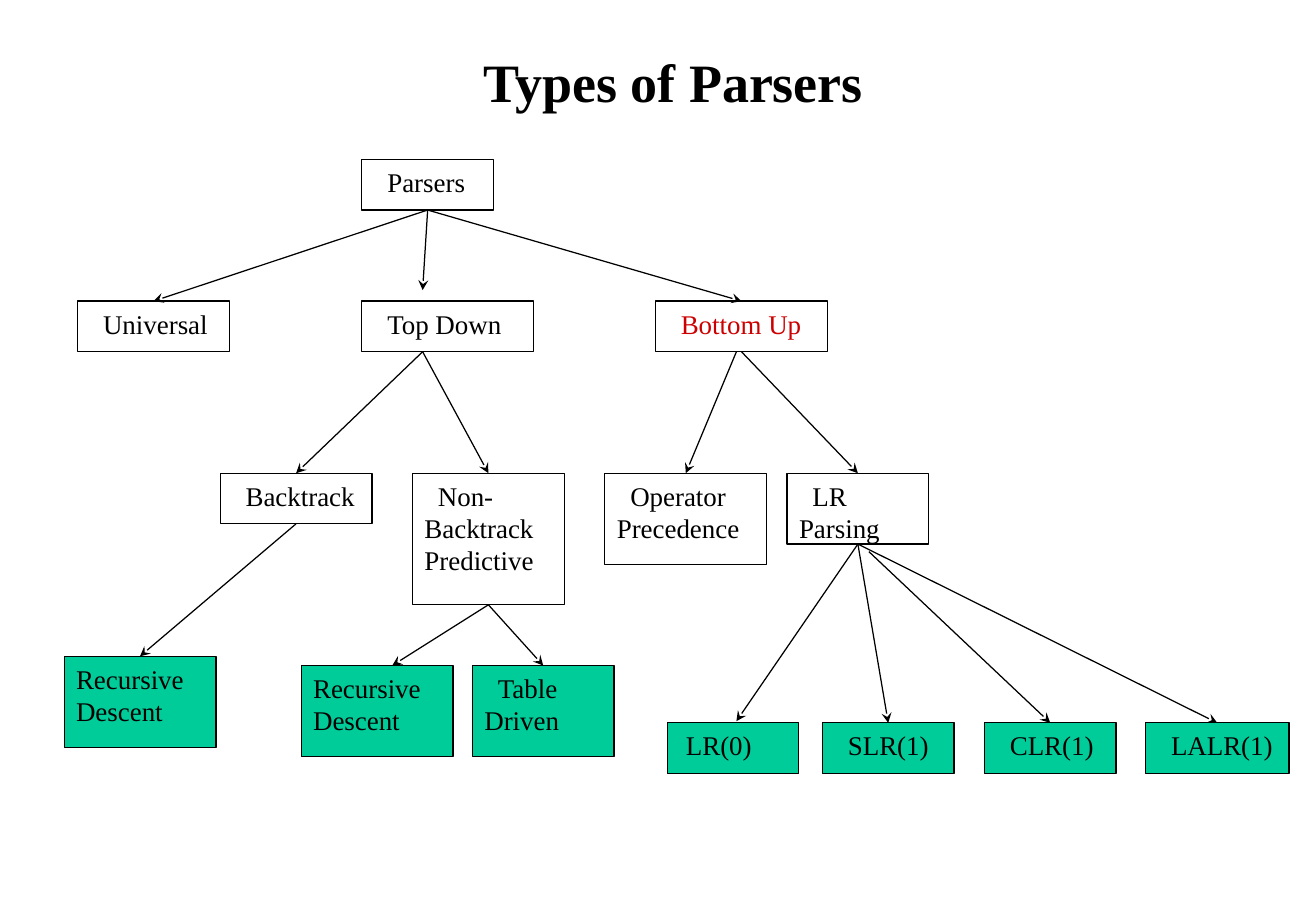
from lxml import etree
from pptx import Presentation
from pptx.dml.color import RGBColor
from pptx.enum.shapes import MSO_CONNECTOR, MSO_SHAPE
from pptx.enum.text import MSO_ANCHOR, PP_ALIGN
from pptx.oxml.ns import qn
from pptx.util import Pt

RECT, STRAIGHT = MSO_SHAPE.RECTANGLE, MSO_CONNECTOR.STRAIGHT
TOP, MIDDLE = MSO_ANCHOR.TOP, MSO_ANCHOR.MIDDLE
LEFT, CENTER = PP_ALIGN.LEFT, PP_ALIGN.CENTER
SITE_TOP, SITE_BOTTOM = 0, 2

BLACK = RGBColor(0x00, 0x00, 0x00)
WHITE = RGBColor(0xFF, 0xFF, 0xFF)
GREEN = RGBColor(0x00, 0xCC, 0x99)
RED = RGBColor(0xCC, 0x00, 0x00)
FONT = "Times New Roman"

# Content
TITLE = "Types of Parsers"

# Row tops, in points
ROOT, KINDS, METHODS, DESCENT, TABLES, LR_ROW = 94.5, 178.5, 280.5, 389, 394.5, 428.5

# key: (text, left, top, width, height, fill, text colour, first-line indent)
BOXES = {
    "parsers": ("Parsers", 214.5, ROOT, 78, 30, WHITE, BLACK, 8),
    "universal": ("Universal", 46, KINDS, 90, 30, WHITE, BLACK, 8),
    "top_down": ("Top Down", 214.5, KINDS, 102, 30, WHITE, BLACK, 8),
    "bottom_up": ("Bottom Up", 388.5, KINDS, 102, 30, WHITE, RED, 8),
    "backtrack": ("Backtrack", 130.5, METHODS, 90, 30, WHITE, BLACK, 8),
    "predictive": ("Non-Backtrack Predictive", 244.5, METHODS, 90, 78, WHITE, BLACK, 8),
    "operator": ("Operator Precedence", 358.5, METHODS, 96, 54, WHITE, BLACK, 8),
    "lr": ("LR Parsing", 466.5, METHODS, 84, 42, WHITE, BLACK, 8),
    "descent_back": ("Recursive Descent", 38, DESCENT, 90, 54, GREEN, BLACK, 0),
    "descent_pred": ("Recursive Descent", 178.5, TABLES, 90, 54, GREEN, BLACK, 0),
    "table": ("Table Driven", 280, TABLES, 84, 54, GREEN, BLACK, 8),
    "lr0": ("LR(0)", 395.5, LR_ROW, 78, 30, GREEN, BLACK, 4),
    "slr1": ("SLR(1)", 487.5, LR_ROW, 78, 30, GREEN, BLACK, 8),
    "clr1": ("CLR(1)", 583.5, LR_ROW, 78, 30, GREEN, BLACK, 8),
    "lalr1": ("LALR(1)", 679, LR_ROW, 85, 30, GREEN, BLACK, 8),
}

# Each end is a box key (joined to its side) or a free point
ARROWS = [
    ("parsers", "universal"),
    ("parsers", (250.5, 172)),
    ("parsers", "bottom_up"),
    ((250.5, 208.5), "backtrack"),
    ((250.5, 208.5), "predictive"),
    ((436.5, 208.5), "operator"),
    ("bottom_up", "lr"),
    ("backtrack", "descent_back"),
    ("predictive", (232.5, 394.5)),
    ("predictive", "table"),
    ("lr", (436.5, 427.5)),
    ("lr", "slr1"),
    ((515, 327), "clr1"),
    ("lr", "lalr1"),
]


def set_all(obj, values):
    for name, value in values.items():
        setattr(obj, name, value)


def write(sp, text, size, color, bold=False, align=LEFT, anchor=TOP, indent=0):
    tf = sp.text_frame
    set_all(tf, {"word_wrap": True, "vertical_anchor": anchor,
                 "margin_left": Pt(7.2), "margin_right": Pt(7.2),
                 "margin_top": Pt(3.6), "margin_bottom": Pt(3.6)})
    p = tf.paragraphs[0]
    p.alignment = align
    if indent:
        p._p.get_or_add_pPr().set("indent", str(Pt(indent)))
    r = p.add_run()
    r.text = text
    set_all(r.font, {"name": FONT, "size": Pt(size), "bold": bold})
    r.font.color.rgb = color


def outline(sp):
    sp.line.color.rgb = BLACK
    sp.line.width = Pt(0.75)


def add_box(s, text, left, top, width, height, fill, color, indent):
    sp = s.shapes.add_shape(RECT, Pt(left), Pt(top), Pt(width), Pt(height))
    sp.shadow.inherit = False
    sp.fill.solid()
    sp.fill.fore_color.rgb = fill
    outline(sp)
    write(sp, text, 16, color, indent=indent)
    return sp


def add_arrow(s, boxes, start, end):
    x1, y1 = (0, 0) if start in boxes else start
    x2, y2 = (0, 0) if end in boxes else end
    cx = s.shapes.add_connector(STRAIGHT, Pt(x1), Pt(y1), Pt(x2), Pt(y2))
    if start in boxes:
        cx.begin_connect(boxes[start], SITE_BOTTOM)
    if end in boxes:
        cx.end_connect(boxes[end], SITE_TOP)
    outline(cx)
    props = cx._element.spPr
    etree.SubElement(props.find(qn("a:ln")), qn("a:tailEnd"), type="stealth")
    etree.SubElement(props, qn("a:effectLst"))


def main():
    prs = Presentation()
    prs.slide_width, prs.slide_height = Pt(780), Pt(540)
    s = prs.slides.add_slide(prs.slide_layouts[6])

    # Title
    title = s.shapes.add_textbox(Pt(30), Pt(12), Pt(738), Pt(72))
    write(title, TITLE, 32, BLACK, bold=True, align=CENTER, anchor=MIDDLE)

    # Tree
    boxes = {key: add_box(s, *box) for key, box in BOXES.items()}
    for start, end in ARROWS:
        add_arrow(s, boxes, start, end)

    prs.save("out.pptx")


if __name__ == "__main__":
    main()
